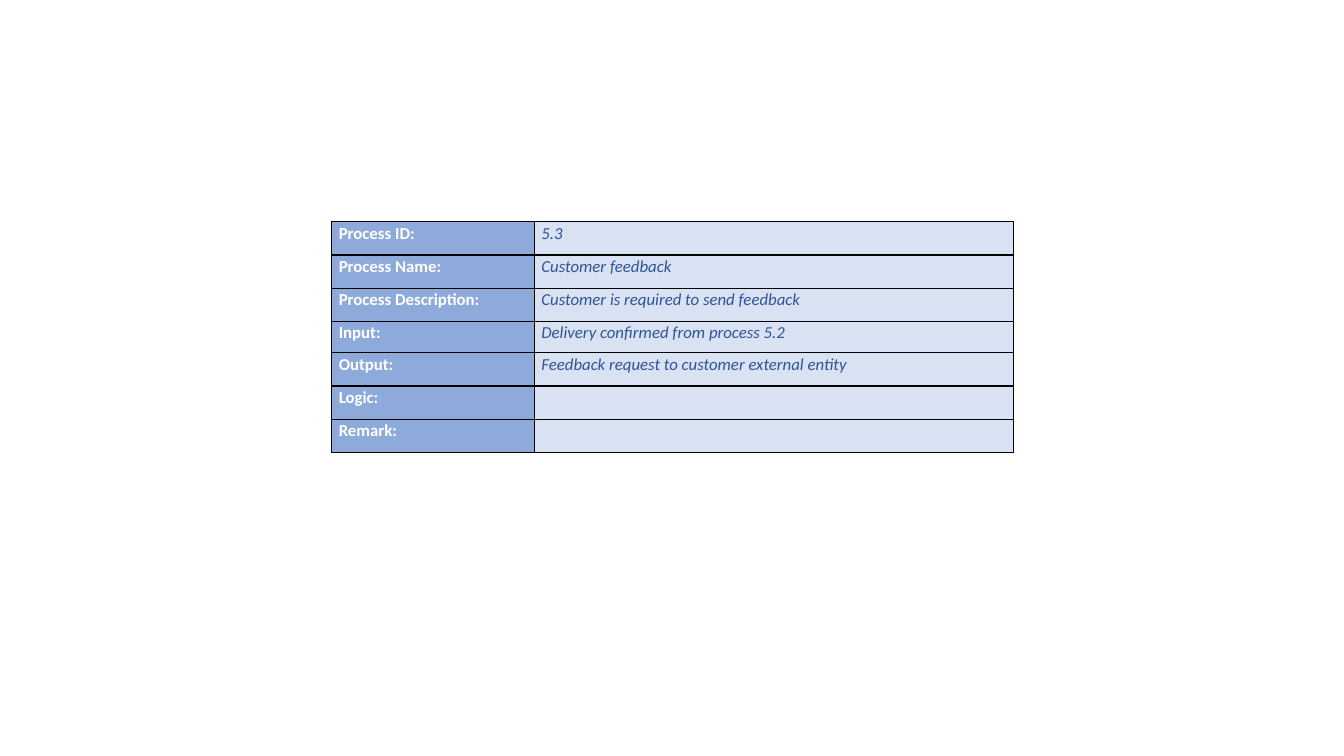
from lxml import etree
from pptx import Presentation
from pptx.dml.color import RGBColor
from pptx.oxml.ns import qn
from pptx.util import Inches, Pt

WIDE, HIGH = 13.33, 7.5
LEFT, TOP = 3.29, 2.2
COLS = [2.01, 4.75]
ROW, SHORT = 0.33, 0.31
FONT, SIZE = "Calibri", 12
EDGES = ("a:lnL", "a:lnR", "a:lnT", "a:lnB")
HEAD = {"fill": "8EAADB", "ink": "FFFFFF", "bold": True}
BODY = {"fill": "D9E2F3", "ink": "2F5496", "bold": False}

FIELDS = [
    ("Process ID:", "5.3"),
    ("Process Name:", "Customer feedback"),
    ("Process Description:", "Customer is required to send feedback"),
    ("Input:", "Delivery confirmed from process 5.2"),
    ("Output:", "Feedback request to customer external entity"),
    ("Logic:", ""),
    ("Remark:", ""),
]


def paint(color, code):
    color.rgb = RGBColor.from_string(code)


def frame(cell, code="000000"):
    props = cell._tc.get_or_add_tcPr()
    for edge in EDGES:
        line = etree.SubElement(props, qn(edge), w=str(Pt(1)))
        fill = etree.SubElement(line, qn("a:solidFill"))
        etree.SubElement(fill, qn("a:srgbClr"), val=code)


def write(cell, text, style):
    frame(cell)
    cell.fill.solid()
    paint(cell.fill.fore_color, style["fill"])
    cell.margin_left = cell.margin_right = Inches(0.07)
    cell.margin_top = cell.margin_bottom = 0
    if not text:
        return
    para = cell.text_frame.paragraphs[0]
    para.text = text
    para.line_spacing = 1.07
    font = para.runs[0].font
    font.name, font.size = FONT, Pt(SIZE)
    font.bold, font.italic = style["bold"], not style["bold"]
    paint(font.color, style["ink"])


def add_form(slide, fields):
    rows = [SHORT if name == "Input:" else ROW for name, _ in fields]
    box = [Inches(n) for n in (LEFT, TOP, sum(COLS), sum(rows))]
    table = slide.shapes.add_table(len(rows), len(COLS), *box).table
    table.first_row = table.horz_banding = False
    for col, width in zip(table.columns, COLS):
        col.width = Inches(width)
    for row, height, pair in zip(table.rows, rows, fields):
        row.height = Inches(height)
        for cell, text, style in zip(row.cells, pair, (HEAD, BODY)):
            write(cell, text, style)


def main():
    deck = Presentation()
    deck.slide_width, deck.slide_height = Inches(WIDE), Inches(HIGH)
    slide = deck.slides.add_slide(deck.slide_layouts.get_by_name("Blank"))
    add_form(slide, FIELDS)
    deck.save("out.pptx")


if __name__ == "__main__":
    main()
